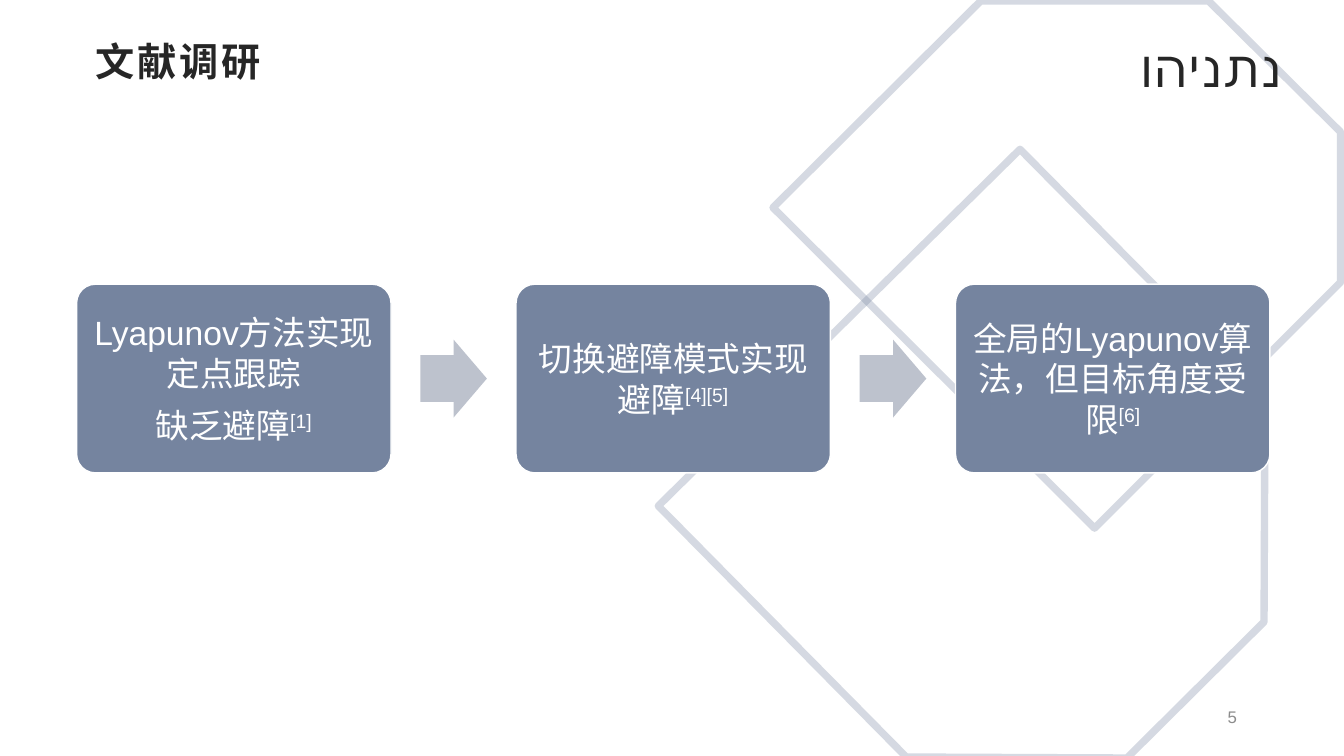
from dataclasses import dataclass

from lxml import etree
from pptx import Presentation
from pptx import util as u
from pptx.dml.color import RGBColor
from pptx.enum import shapes, text
from pptx.oxml import ns

SLATE, PALE, WHITE, INK, GREY = "75849F", "BDC2CD", "FFFFFF", "262626", "8C8C8C"
FONT = "Arial"
STEP_LEFT, STEP_PITCH, STEP_TOP = 54.7, 313.9, 203
STEP_WIDTH, STEP_HEIGHT = 224.6, 134.8
ARROW_WIDTH, ARROW_HEIGHT, ARROW_OFFSET = 47.6, 55.7, 245.5


@dataclass(frozen=True)
class Run:
    text: str
    raised: bool = False


@dataclass(frozen=True)
class Step:
    paragraphs: tuple[tuple[Run, ...], ...]


@dataclass(frozen=True)
class Outline:
    points: tuple[tuple[float, float], ...]


@dataclass(frozen=True)
class Style:
    size: float
    color: str
    bold: bool = False
    spacing: float = 0


OUTLINES = (
    Outline(((863.3, 0.7), (700.6, 0.7), (552.2, 148.3), (781.9, 377.3),
             (957.6, 201.6), (957.6, 94.3))),
    Outline(((470.2, 361.4), (647.3, 540.7), (805, 541.4), (902.9, 444.2),
             (903.6, 283.7), (728.6, 106.6))),
)
STEPS = (
    Step(((Run("Lyapunov方法实现定点跟踪"),),
          (Run("缺乏避障"), Run("[1]", True)))),
    Step(((Run("切换避障模式实现避障"), Run("[4][5]", True)),)),
    Step(((Run("全局的Lyapunov算法，但目标角度受限"), Run("[6]", True)),)),
)
STEP_STYLE = Style(24, WHITE)


def rgb(value: str) -> RGBColor:
    return RGBColor.from_string(value)


def add_run(p, run: Run, style: Style) -> None:
    r = p.add_run()
    r.text = run.text
    r.font.name = FONT
    r.font.size = u.Pt(style.size)
    r.font.bold = style.bold
    r.font.color.rgb = rgb(style.color)
    props = r.font._element
    if style.spacing:
        props.set("spc", str(round(style.spacing * 100)))
    if run.raised:
        props.set("baseline", "30000")


def set_frame(tf, anchor, margin_x: float, margin_y: float) -> None:
    tf.word_wrap = True
    tf.auto_size = text.MSO_AUTO_SIZE.NONE
    tf.vertical_anchor = anchor
    tf.margin_left = tf.margin_right = u.Pt(margin_x)
    tf.margin_top = tf.margin_bottom = u.Pt(margin_y)


def add_outline(s, outline: Outline) -> None:
    corners = [(u.Pt(x), u.Pt(y)) for x, y in outline.points]
    builder = s.shapes.build_freeform(*corners[0], scale=1.0)
    builder.add_line_segments(corners[1:], close=True)
    sp = builder.convert_to_shape()
    sp.shadow.inherit = False
    sp.fill.background()
    sp.line.width = u.Pt(5.25)
    sp.line.color.rgb = rgb(SLATE)
    color = sp.line._ln.find(".//" + ns.qn("a:srgbClr"))
    etree.SubElement(color, ns.qn("a:alpha"), val="30000")


def add_preset(s, kind, left: float, top: float, width: float, height: float,
               fill: str):
    sp = s.shapes.add_shape(kind, u.Pt(left), u.Pt(top), u.Pt(width), u.Pt(height))
    sp.shadow.inherit = False
    sp.fill.solid()
    sp.fill.fore_color.rgb = rgb(fill)
    sp.line.fill.background()
    return sp


def add_step(s, step: Step, left: float) -> None:
    sp = add_preset(s, shapes.MSO_SHAPE.ROUNDED_RECTANGLE, left, STEP_TOP,
                    STEP_WIDTH, STEP_HEIGHT, SLATE)
    sp.adjustments[0] = 0.1
    sp.line.color.rgb = rgb(WHITE)
    sp.line.width = u.Pt(1)
    tf = sp.text_frame
    set_frame(tf, text.MSO_ANCHOR.MIDDLE, 3.4, 3.4)
    for index, runs in enumerate(step.paragraphs):
        p = tf.add_paragraph() if index else tf.paragraphs[0]
        p.alignment = text.PP_ALIGN.CENTER
        if index:
            p.space_before = u.Pt(8.4)
        for run in runs:
            add_run(p, run, STEP_STYLE)


def add_arrow(s, left: float) -> None:
    top = STEP_TOP + (STEP_HEIGHT - ARROW_HEIGHT) / 2
    sp = add_preset(s, shapes.MSO_SHAPE.RIGHT_ARROW, left, top,
                    ARROW_WIDTH, ARROW_HEIGHT, PALE)
    sp.adjustments[0] = 0.6
    sp.adjustments[1] = 0.5


def add_label(s, words: str, left: float, top: float, width: float,
              height: float, anchor, style: Style) -> None:
    sp = s.shapes.add_textbox(u.Pt(left), u.Pt(top), u.Pt(width), u.Pt(height))
    set_frame(sp.text_frame, anchor, 7.2, 3.6)
    p = sp.text_frame.paragraphs[0]
    p.alignment = text.PP_ALIGN.RIGHT
    add_run(p, Run(words), style)


def set_title(s, words: str) -> None:
    sp = s.shapes.title
    sp.left, sp.top, sp.width, sp.height = (u.Pt(v) for v in (61.2, 23, 244.8, 34.6))
    set_frame(sp.text_frame, text.MSO_ANCHOR.TOP, 7.2, 3.6)
    p = sp.text_frame.paragraphs[0]
    p.alignment = text.PP_ALIGN.LEFT
    add_run(p, Run(words), Style(28, INK, bold=True, spacing=2))


def main() -> None:
    prs = Presentation()
    prs.slide_width, prs.slide_height = u.Pt(960), u.Pt(540)
    s = prs.slides.add_slide(prs.slide_layouts[5])
    for outline in OUTLINES:
        add_outline(s, outline)
    for index, step in enumerate(STEPS):
        left = STEP_LEFT + index * STEP_PITCH
        add_step(s, step, left)
        if index < len(STEPS) - 1:
            add_arrow(s, left + ARROW_OFFSET)
    add_label(s, "5", 678.2, 499.7, 212.4, 25.2, text.MSO_ANCHOR.MIDDLE,
              Style(12, GREY))
    set_title(s, "文献调研")
    add_label(s, "נתניהו", 589.7, 23, 332, 67, text.MSO_ANCHOR.TOP,
              Style(36, INK, spacing=2))
    prs.save("out.pptx")


if __name__ == "__main__":
    main()
